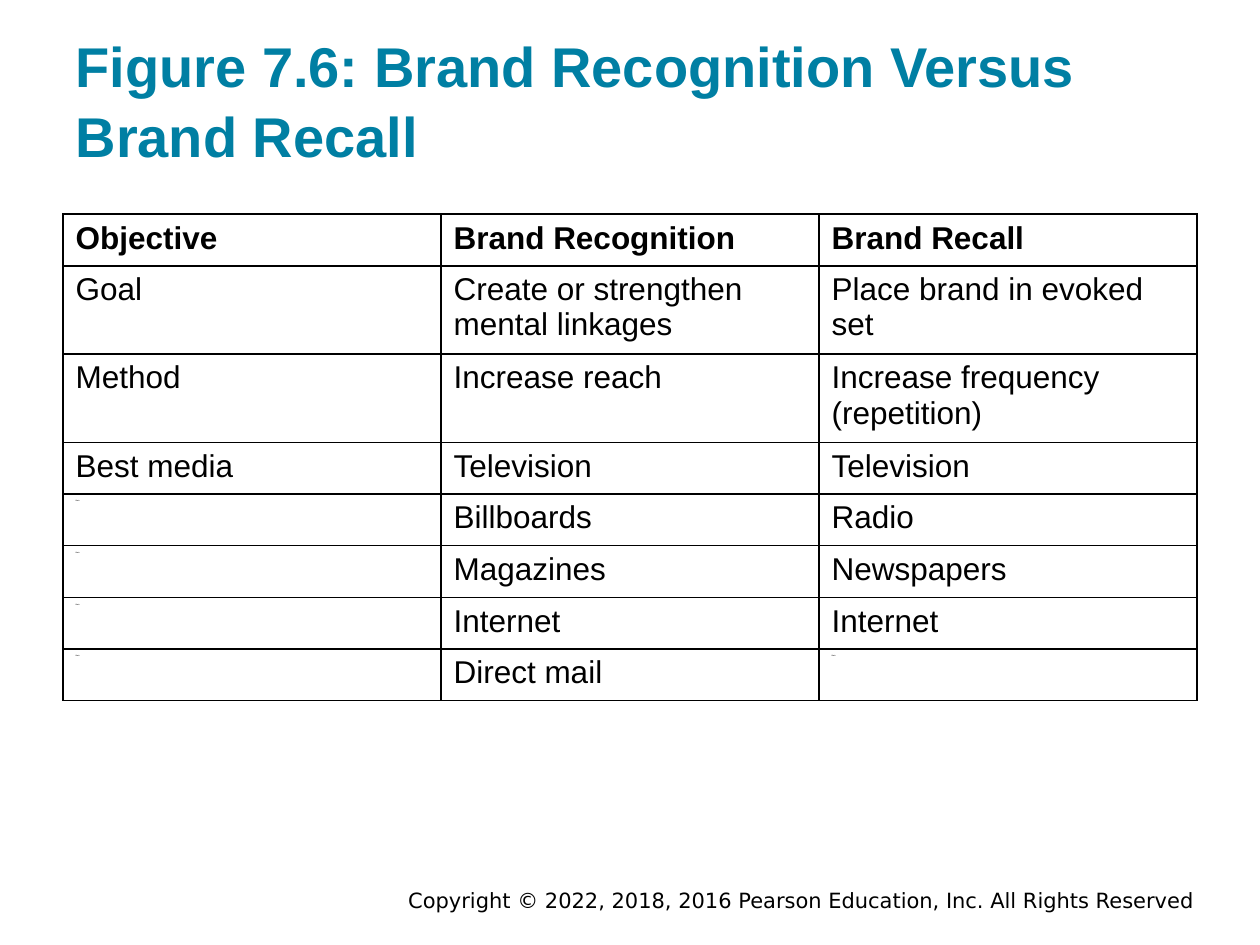
from dataclasses import dataclass

from lxml.etree import SubElement
from pptx import Presentation
from pptx.dml.color import RGBColor
from pptx.enum.text import MSO_ANCHOR, PP_ALIGN
from pptx.oxml.ns import qn
from pptx.util import Inches, Pt


@dataclass(frozen=True)
class Theme:
    font: str = "Arial"
    footer_font: str = "DejaVu Sans"
    title_color: str = "007FA3"
    text_color: str = "000000"
    title_size: int = 32
    table_size: int = 18
    blank_size: int = 1
    footer_size: int = 12
    border_width: int = 1


THEME = Theme()
BLANK = "Blank"
ROWS = [
    ("Objective", "Brand Recognition", "Brand Recall"),
    ("Goal", "Create or strengthen mental linkages", "Place brand in evoked set"),
    ("Method", "Increase reach", "Increase frequency (repetition)"),
    ("Best media", "Television", "Television"),
    (BLANK, "Billboards", "Radio"),
    (BLANK, "Magazines", "Newspapers"),
    (BLANK, "Internet", "Internet"),
    (BLANK, "Direct mail", BLANK),
]


def style_text(tf, font, size, color, bold=False):
    for p in tf.paragraphs:
        for r in p.runs:
            r.font.name = font
            r.font.size = Pt(size)
            r.font.bold = bold
            r.font.color.rgb = RGBColor.from_string(color)


def add_borders(cell):
    tc_pr = cell._tc.get_or_add_tcPr()
    for side in ("a:lnL", "a:lnR", "a:lnT", "a:lnB"):
        ln = SubElement(tc_pr, qn(side), w=str(Pt(THEME.border_width)))
        fill = SubElement(ln, qn("a:solidFill"))
        SubElement(fill, qn("a:srgbClr"), val=THEME.text_color)


def add_title(slide, left, top, width, height):
    sp = slide.shapes.title
    sp.left, sp.top, sp.width, sp.height = left, top, width, height
    tf = sp.text_frame
    tf.text = "Figure 7.6: Brand Recognition Versus Brand Recall"
    tf.word_wrap = True
    tf.vertical_anchor = MSO_ANCHOR.BOTTOM
    tf.margin_left = tf.margin_right = Inches(0.1)
    tf.margin_top = tf.margin_bottom = Inches(0.1)
    p = tf.paragraphs[0]
    p.alignment = PP_ALIGN.LEFT
    p.line_spacing = 1.05
    style_text(tf, THEME.font, THEME.title_size, THEME.title_color, bold=True)


def add_comparison_table(slide, left, top, width, height):
    frame = slide.shapes.add_table(len(ROWS), len(ROWS[0]), left, top, width, height)
    table = frame.table
    table.horz_banding = False
    for i, row in enumerate(ROWS):
        for j, text in enumerate(row):
            cell = table.cell(i, j)
            cell.text = text
            size = THEME.blank_size if text == BLANK else THEME.table_size
            style_text(cell.text_frame, THEME.font, size, THEME.text_color, bold=i == 0)
            add_borders(cell)
            cell.fill.background()


def add_footer(slide, left, top, width, height):
    tf = slide.shapes.add_textbox(left, top, width, height).text_frame
    tf.text = "Copyright © 2022, 2018, 2016 Pearson Education, Inc. All Rights Reserved"
    tf.word_wrap = True
    tf.vertical_anchor = MSO_ANCHOR.MIDDLE
    tf.paragraphs[0].alignment = PP_ALIGN.RIGHT
    style_text(tf, THEME.footer_font, THEME.footer_size, THEME.text_color)


def main():
    prs = Presentation()
    prs.slide_width, prs.slide_height = Inches(10), Inches(7.5)
    slide = prs.slides.add_slide(prs.slide_layouts[5])
    add_footer(slide, Inches(1.75), Inches(7.03), Inches(7.83), Inches(0.22))
    add_title(slide, Inches(0.5), Inches(0.24), Inches(9), Inches(1.2))
    add_comparison_table(slide, Inches(0.5), Inches(1.7), Inches(9), Inches(0.41) * len(ROWS))
    prs.save("out.pptx")


if __name__ == "__main__":
    main()
